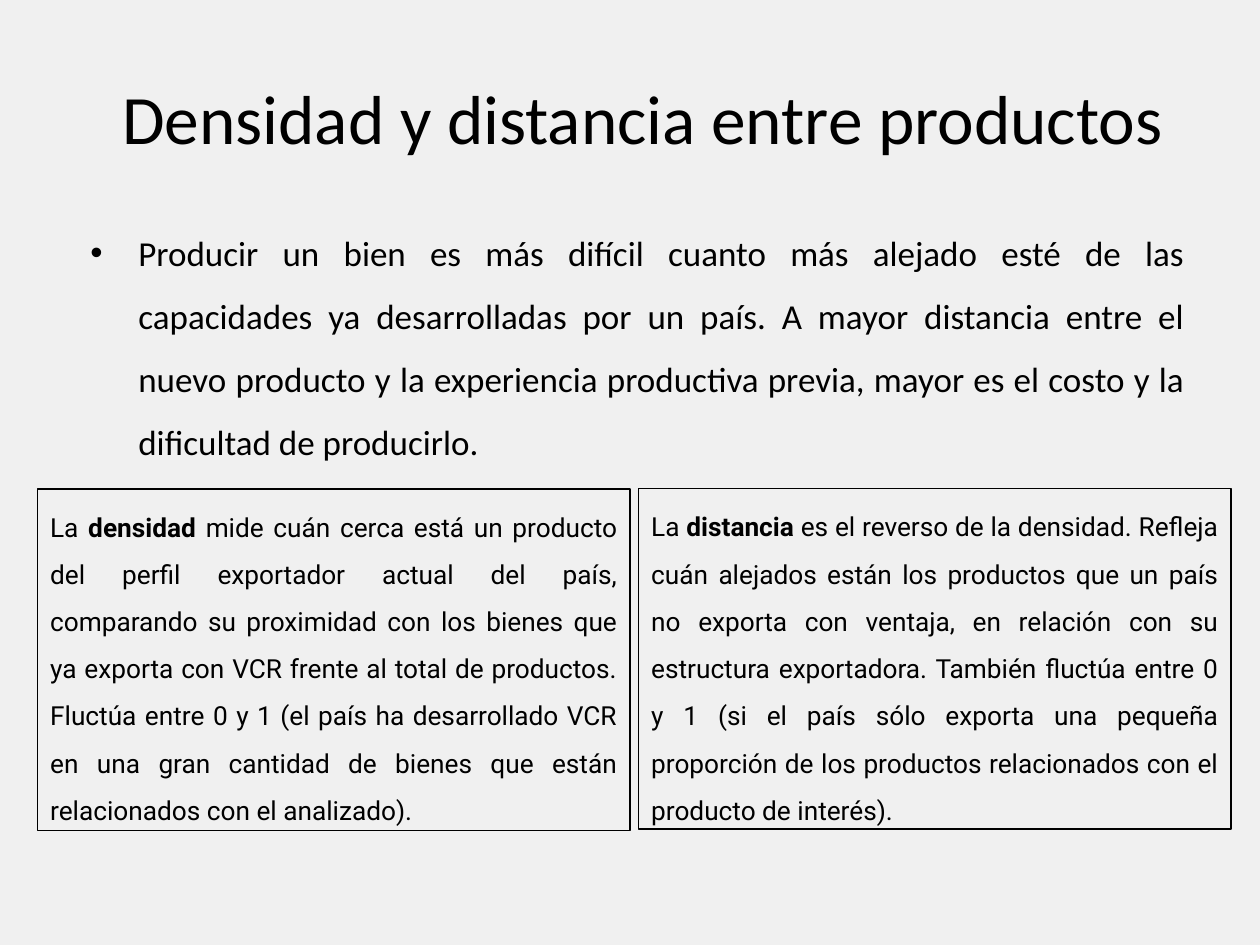
from pptx import Presentation
from pptx.dml.color import RGBColor
from pptx.enum.shapes import MSO_SHAPE
from pptx.enum.text import MSO_ANCHOR, MSO_AUTO_SIZE, PP_ALIGN
from pptx.oxml.xmlchemy import OxmlElement
from pptx.util import Inches, Pt

BLACK = RGBColor(0x00, 0x00, 0x00)
BACKGROUND = RGBColor(0xF0, 0xF0, 0xF0)


def add_run(paragraph, text, font_name, size, bold=False):
    run = paragraph.add_run()
    run.text = text
    run.font.name = font_name
    run.font.size = Pt(size)
    run.font.bold = bold
    run.font.color.rgb = BLACK


presentation = Presentation()
presentation.slide_width = Inches(10)
presentation.slide_height = Inches(7.5)
slide = presentation.slides.add_slide(presentation.slide_layouts[6])
slide.background.fill.solid()
slide.background.fill.fore_color.rgb = BACKGROUND

# Title
title = slide.shapes.add_textbox(Inches(0.5), Inches(0.3), Inches(9.2), Inches(1.25))
title.text_frame.word_wrap = True
title.text_frame.vertical_anchor = MSO_ANCHOR.MIDDLE
paragraph = title.text_frame.paragraphs[0]
paragraph.alignment = PP_ALIGN.CENTER
add_run(paragraph, "Densidad y distancia entre productos", "Calibri", 39.6)

# Main statement with a hanging bullet
body = slide.shapes.add_textbox(Inches(0.5), Inches(1.62), Inches(9), Inches(2.07))
body.text_frame.word_wrap = True
paragraph = body.text_frame.paragraphs[0]
paragraph.alignment = PP_ALIGN.JUSTIFY
paragraph.line_spacing = 1.5
paragraph.space_before = Pt(3.6)
add_run(
    paragraph,
    "Producir un bien es más difícil cuanto más alejado esté de las capacidades ya "
    "desarrolladas por un país. A mayor distancia entre el nuevo producto y la "
    "experiencia productiva previa, mayor es el costo y la dificultad de producirlo.",
    "Calibri", 20,
)
properties = paragraph._p.get_or_add_pPr()
properties.set("marL", str(Inches(0.5)))
properties.set("indent", str(Inches(-0.38)))
bullet_font = OxmlElement("a:buFont")
bullet_font.set("typeface", "Arial")
bullet = OxmlElement("a:buChar")
bullet.set("char", "•")
properties.extend([bullet_font, bullet])

# Framed definitions, side by side
definitions = [
    (0.3, 2.71, "densidad",
     " mide cuán cerca está un producto del perfil exportador actual del país, "
     "comparando su proximidad con los bienes que ya exporta con VCR frente al total "
     "de productos. Fluctúa entre 0 y 1 (el país ha desarrollado VCR en una gran "
     "cantidad de bienes que están relacionados con el analizado)."),
    (5.07, 2.7, "distancia",
     " es el reverso de la densidad. Refleja cuán alejados están los productos que un "
     "país no exporta con ventaja, en relación con su estructura exportadora. También "
     "fluctúa entre 0 y 1 (si el país sólo exporta una pequeña proporción de los "
     "productos relacionados con el producto de interés)."),
]
for left, height, term, explanation in definitions:
    shape = slide.shapes.add_shape(
        MSO_SHAPE.RECTANGLE, Inches(left), Inches(3.88), Inches(4.7), Inches(height))
    shape.shadow.inherit = False
    shape.fill.background()
    shape.line.color.rgb = BLACK
    shape.line.width = Pt(0.75)
    text_frame = shape.text_frame
    text_frame.word_wrap = True
    text_frame.auto_size = MSO_AUTO_SIZE.SHAPE_TO_FIT_TEXT
    text_frame.vertical_anchor = MSO_ANCHOR.TOP
    paragraph = text_frame.paragraphs[0]
    paragraph.alignment = PP_ALIGN.JUSTIFY
    paragraph.line_spacing = 1.5
    add_run(paragraph, "La ", "Roboto", 15)
    add_run(paragraph, term, "Roboto", 15, bold=True)
    add_run(paragraph, explanation, "Roboto", 15)

presentation.save("out.pptx")
